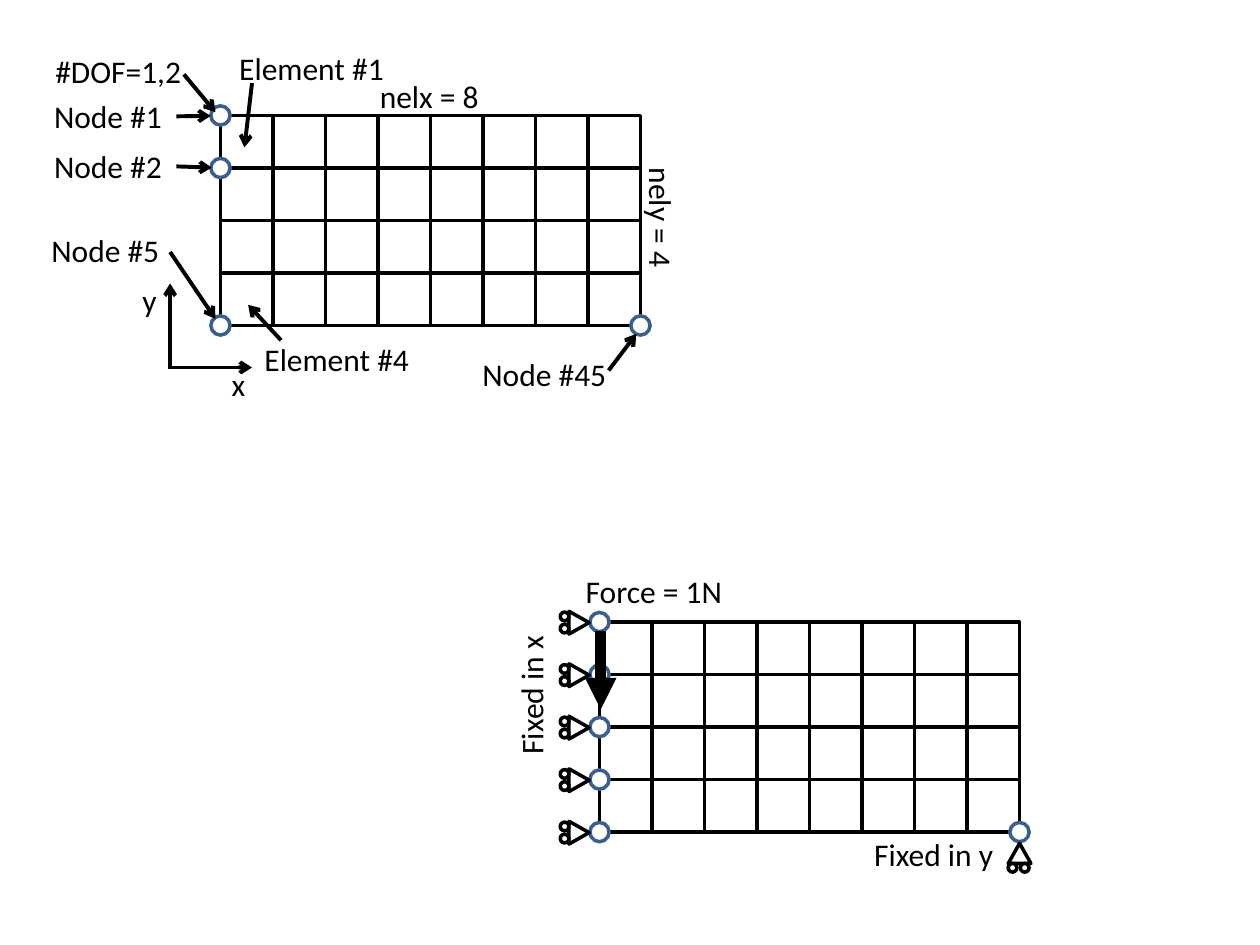
import pptx
import pptx.util
import pptx.dml.color
import pptx.enum.shapes
import pptx.enum.text
import pptx.oxml.ns
import lxml.etree

Pt = pptx.util.Pt
SHAPE = pptx.enum.shapes.MSO_SHAPE

COLORS = {"ink": "000000", "paper": "FFFFFF", "node": "3A5F8C"}
FONT = "Calibri"
CELL, COLS, ROWS = 30, 8, 4
NODE, WHEEL, LABEL_H = 11, 5, 29

# Grid corners (left, top)
MESH = (126, 66)
LOADED = (342.6, 355.5)

# Labels: text, left, top, width, rotation
LABELS = [
    ("nelx = 8", 210, 40.3, 72, 0),
    ("x", 125.3, 205.2, 22.3, 0),
    ("y", 74.2, 157, 23, 0),
    ("nely = 4", 342, 110.2, 72, 90),
    ("Node #1", 23.8, 52, 77, 0),
    ("Node #2", 23.8, 80.6, 77, 0),
    ("Node #5", 22.3, 128.2, 77, 0),
    ("Node #45", 268.6, 199.4, 86.4, 0),
    ("Element #1", 129.6, 24.5, 98, 0),
    ("Element #4", 144, 190.8, 98, 0),
    ("#DOF=1,2", 24.5, 25.9, 87.1, 0),
    ("Fixed in y", 492.5, 473.8, 83.5, 0),
    ("Force = 1N", 327.6, 323.3, 93.6, 0),
    ("Fixed in x", 262.1, 382.3, 82.8, 270),
]

# Arrows: start, end
ARROWS = [
    ((96, 210), (144, 210)),        # x axis
    ((97.2, 210), (97.2, 162)),     # y axis
    ((97.2, 144), (123.1, 182.2)),  # Node #5
    ((347.8, 211.7), (363.6, 190.8)),  # Node #45
    ((144, 47.5), (139.7, 84.2)),   # Element #1
    ((160.6, 194.4), (141.8, 174.2)),  # Element #4
    ((105.1, 42.5), (123.1, 64.1)),    # degrees of freedom
]
NODE_ARROWS = {"Node #1": (120.4, 66.2), "Node #2": (121, 95.8)}

# Nodes as (column, row) of each grid
MESH_NODES = [(0, 0), (0, 1), (0, ROWS), (COLS, ROWS)]
LOADED_NODES = [(0, row) for row in range(ROWS + 1)] + [(COLS, ROWS)]

# Roller supports: part centres measured from the node
SIDE_ROLLER = {"triangle": (-11.7, 0.3), "wheels": [(-20, -3.2), (-20, 3.7)]}
BASE_ROLLER = {"triangle": (0, 12.2), "wheels": [(-4, 20.4), (3, 20.4)]}


def rgb(name):
    return pptx.dml.color.RGBColor.from_string(COLORS[name])


def add_text(text, left, top, width, rotation=0, size=18, color="ink"):
    s = slide.shapes.add_textbox(Pt(left), Pt(top), Pt(width), Pt(LABEL_H))
    s.rotation = rotation
    tf = s.text_frame
    tf.word_wrap = False
    tf.auto_size = pptx.enum.text.MSO_AUTO_SIZE.SHAPE_TO_FIT_TEXT
    r = tf.paragraphs[0].add_run()
    r.text = text
    r.font.name, r.font.size = FONT, Pt(size)
    r.font.color.rgb = rgb(color)
    return s


def add_shape(parent, kind, center, width, height, fill="paper", line="ink", rotation=0):
    x, y = center
    s = parent.add_shape(kind, Pt(x - width / 2), Pt(y - height / 2), Pt(width), Pt(height))
    s.shadow.inherit = False
    s.rotation = rotation
    if fill:
        s.fill.solid()
        s.fill.fore_color.rgb = rgb(fill)
    else:
        s.fill.background()
    s.line.color.rgb = rgb(line)
    s.line.width = Pt(2)
    return s


def add_arrow(start, end, width=2.25, head="arrow"):
    s = slide.shapes.add_connector(
        pptx.enum.shapes.MSO_CONNECTOR.STRAIGHT, *[Pt(v) for v in start + end])
    s.line.color.rgb = rgb("ink")
    s.line.width = Pt(width)
    qn = pptx.oxml.ns.qn
    lxml.etree.SubElement(s.line._get_or_add_ln(), qn("a:tailEnd"), type=head)
    lxml.etree.SubElement(s._element.spPr, qn("a:effectLst"))
    return s


def grid_point(origin, col, row):
    return origin[0] + col * CELL, origin[1] + row * CELL


def add_grid(origin):
    for col in range(COLS):
        for row in range(ROWS):
            center = grid_point(origin, col + 0.5, row + 0.5)
            add_shape(slide.shapes, SHAPE.RECTANGLE, center, CELL, CELL, fill=None)


def add_nodes(origin, nodes):
    for col, row in nodes:
        center = grid_point(origin, col, row)
        add_shape(slide.shapes, SHAPE.OVAL, center, NODE, NODE, line="node")


def add_roller(node, parts, rotation=0):
    group = slide.shapes.add_group_shape().shapes

    def place(offset):
        return node[0] + offset[0], node[1] + offset[1]

    add_shape(group, SHAPE.ISOSCELES_TRIANGLE, place(parts["triangle"]), 13, 11.5,
              rotation=rotation)
    for offset in parts["wheels"]:
        add_shape(group, SHAPE.OVAL, place(offset), WHEEL, WHEEL, rotation=rotation)


prs = pptx.Presentation()
prs.slide_width, prs.slide_height = Pt(720), Pt(540)
slide = prs.slides.add_slide(prs.slide_layouts[6])

# Grids and their nodes
for origin, nodes in ((MESH, MESH_NODES), (LOADED, LOADED_NODES)):
    add_grid(origin)
    add_nodes(origin, nodes)

# Labels and pointers
labels = {label[0]: add_text(*label) for label in LABELS}
for start, end in ARROWS:
    add_arrow(start, end)
for name, end in NODE_ARROWS.items():
    add_arrow((100.8, end[1]), end).begin_connect(labels[name], 3)

# Force
add_arrow((343.3, 360.7), (343.3, 405.4), width=6, head="triangle")

# Supports
add_roller(grid_point(LOADED, COLS, ROWS), BASE_ROLLER)
for row in range(ROWS + 1):
    add_roller(grid_point(LOADED, 0, row), SIDE_ROLLER, rotation=90)

prs.save("out.pptx")
